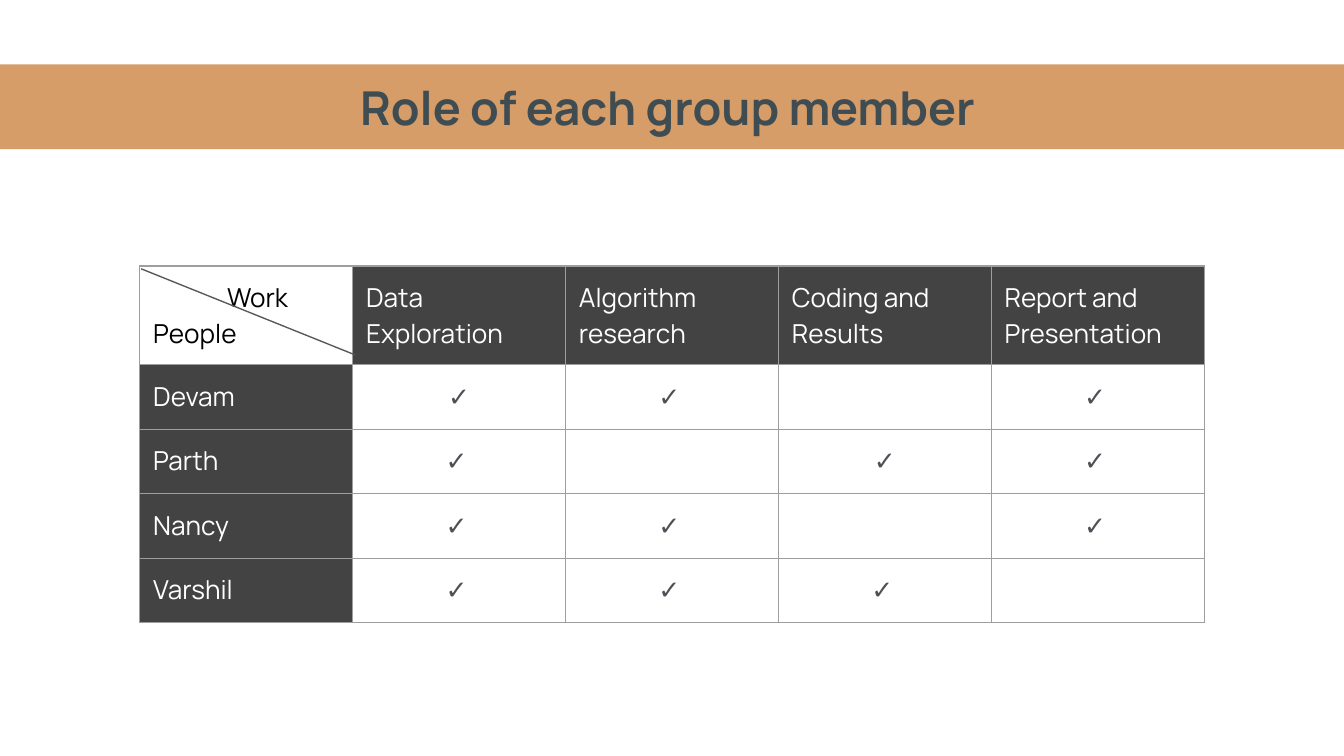
from pptx import Presentation
from pptx.dml.color import RGBColor
from pptx.enum.shapes import MSO_CONNECTOR, MSO_SHAPE
from pptx.enum.text import MSO_ANCHOR, PP_ALIGN
from pptx.oxml.ns import qn
from pptx.util import Inches, Pt
from lxml import etree

RECTANGLE = MSO_SHAPE.RECTANGLE
STRAIGHT = MSO_CONNECTOR.STRAIGHT
LEFT, CENTER = PP_ALIGN.LEFT, PP_ALIGN.CENTER
TOP, MIDDLE = MSO_ANCHOR.TOP, MSO_ANCHOR.MIDDLE

TITLE = "Role of each group member "
CORNER = ["Work", "People"]
TASKS = [["Data Exploration"], ["Algorithm research"],
         ["Coding and Results"], ["Report and", "Presentation"]]
ROLES = {
    "Devam": ["✓", "✓ ", "", "✓ "],
    "Parth": ["✓ ", "", "✓", "✓ "],
    "Nancy": ["✓ ", "✓ ", "", "✓ "],
    "Varshil": ["✓ ", "✓ ", "✓ ", ""],
}
FONT = "Manrope"
COLORS = {"band": "D69D68", "title": "3F4D53", "header": "434343",
          "border": "9E9E9E", "diagonal": "595959", "check": "4D5156",
          "white": "FFFFFF", "black": "000000"}

TABLE_LEFT, TABLE_TOP, TABLE_WIDTH = 1.04, 1.98, 7.92
HEADER_HEIGHT, ROW_HEIGHT = 0.73, 0.48
WORK_INDENT = 0.55
INSET = Inches(0.1)


def rgb(name):
    return RGBColor.from_string(COLORS[name])


def add_span(para, text, size, color, bold=False):
    span = para.add_run()
    span.text = text
    span.font.name = FONT
    span.font.size = Pt(size)
    span.font.bold = bold
    span.font.color.rgb = rgb(color)


def add_borders(cell):
    properties = cell._tc.get_or_add_tcPr()
    for side in ("a:lnL", "a:lnR", "a:lnT", "a:lnB"):
        line = etree.SubElement(properties, qn(side), w=str(Pt(0.75)))
        fill = etree.SubElement(line, qn("a:solidFill"))
        etree.SubElement(fill, qn("a:srgbClr"), val=COLORS["border"])


def fill_cell(cell, lines, color, fill=None, align=LEFT):
    cell.margin_left = cell.margin_right = INSET
    cell.margin_top = cell.margin_bottom = INSET
    cell.vertical_anchor = TOP
    add_borders(cell)
    if fill:
        cell.fill.solid()
        cell.fill.fore_color.rgb = rgb(fill)
    else:
        cell.fill.background()
    frame = cell.text_frame
    for index, text in enumerate(lines):
        para = frame.paragraphs[0] if index == 0 else frame.add_paragraph()
        para.alignment = align
        add_span(para, text, 14, color)
    if not lines:
        # An empty cell keeps the text size, so its row does not grow.
        etree.SubElement(frame.paragraphs[0]._p, qn("a:endParaRPr"), sz="1400")


def add_title(slide, width):
    band = slide.shapes.add_shape(RECTANGLE, 0, Inches(0.48), width, Inches(0.63))
    band.shadow.inherit = False
    band.fill.solid()
    band.fill.fore_color.rgb = rgb("band")
    band.line.fill.background()
    frame = band.text_frame
    frame.word_wrap = True
    frame.vertical_anchor = MIDDLE
    frame.margin_left = frame.margin_right = INSET
    frame.margin_top = frame.margin_bottom = INSET
    para = frame.paragraphs[0]
    para.alignment = CENTER
    add_span(para, TITLE, 25, "title", bold=True)


def add_role_table(slide):
    rows, columns = len(ROLES) + 1, len(TASKS) + 1
    frame = slide.shapes.add_table(
        rows, columns, Inches(TABLE_LEFT), Inches(TABLE_TOP),
        Inches(TABLE_WIDTH), Inches(HEADER_HEIGHT + len(ROLES) * ROW_HEIGHT))
    table = frame.table
    table.first_row = table.horz_banding = False
    for column in table.columns:
        column.width = Inches(TABLE_WIDTH / columns)
    for index, row in enumerate(table.rows):
        row.height = Inches(ROW_HEIGHT if index else HEADER_HEIGHT)

    corner = table.cell(0, 0)
    fill_cell(corner, CORNER, "black")
    work = corner.text_frame.paragraphs[0]._p.get_or_add_pPr()
    work.set("marL", str(Inches(WORK_INDENT)))
    work.set("indent", "0")
    for column, task in enumerate(TASKS, 1):
        fill_cell(table.cell(0, column), task, "white", "header")
    for row, (person, marks) in enumerate(ROLES.items(), 1):
        fill_cell(table.cell(row, 0), [person], "white", "header")
        for column, mark in enumerate(marks, 1):
            lines = [mark] if mark else []
            fill_cell(table.cell(row, column), lines, "check", align=CENTER)


def add_corner_diagonal(slide):
    diagonal = slide.shapes.add_connector(
        STRAIGHT, Inches(1.05), Inches(2), Inches(2.64), Inches(2.64))
    diagonal.line.color.rgb = rgb("diagonal")
    diagonal.line.width = Pt(0.75)
    etree.SubElement(diagonal._element.spPr, qn("a:effectLst"))


def main():
    deck = Presentation()
    deck.slide_width = Inches(10)
    deck.slide_height = deck.slide_width * 9 // 16
    slide = deck.slides.add_slide(deck.slide_layouts[6])
    add_title(slide, deck.slide_width)
    add_role_table(slide)
    add_corner_diagonal(slide)
    deck.save("out.pptx")


if __name__ == "__main__":
    main()
